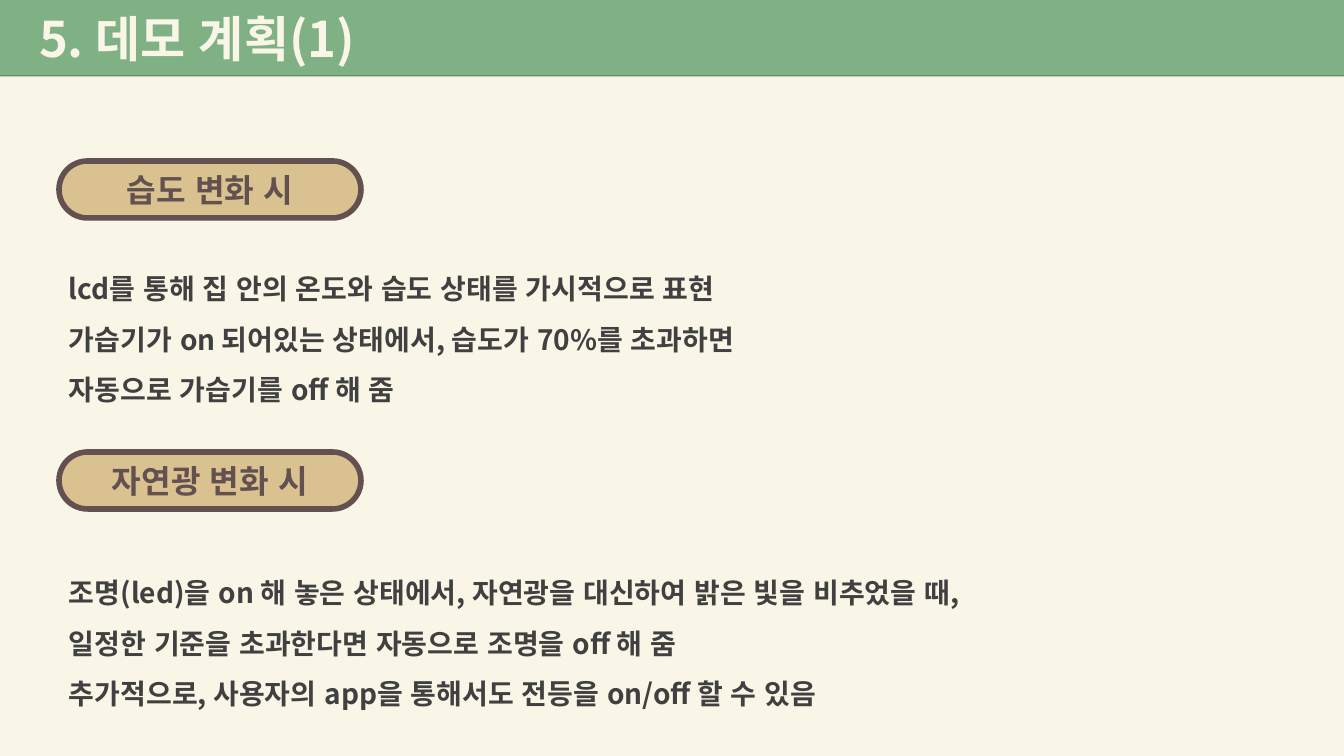
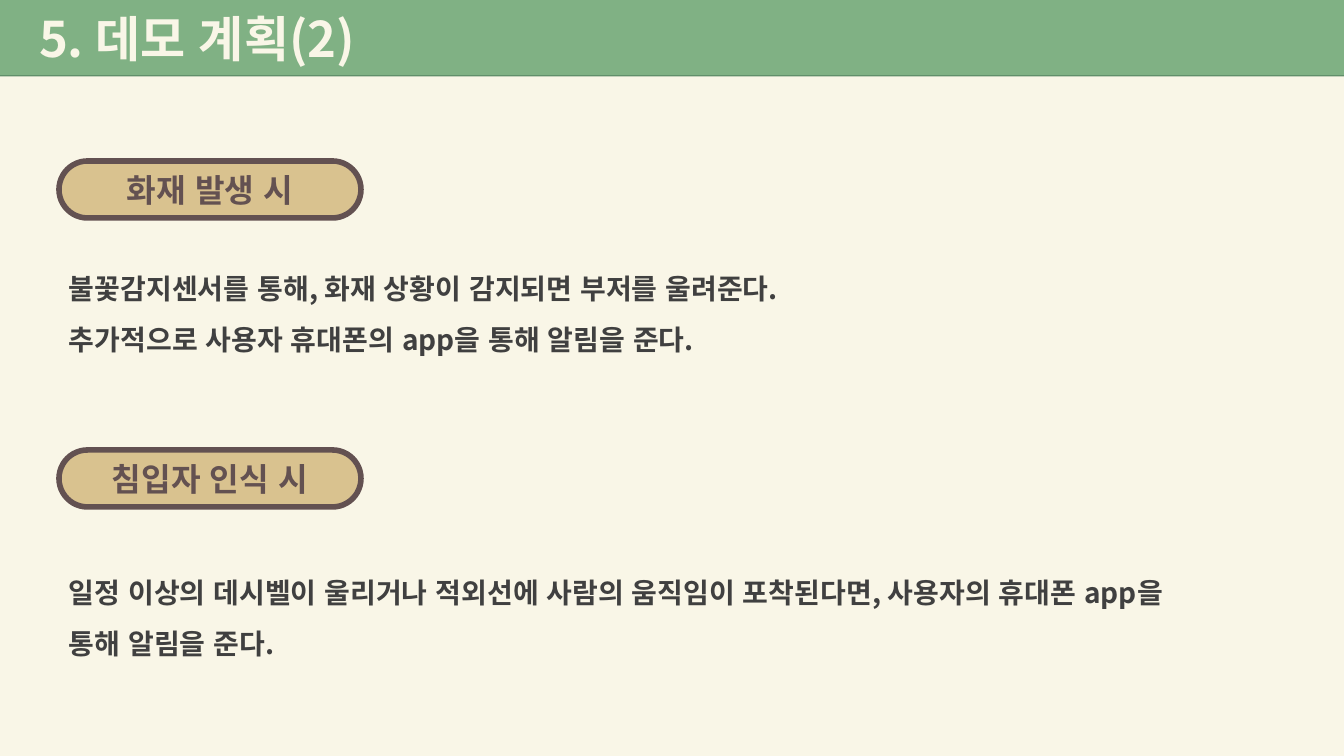
from lxml import etree
from pptx import Presentation
from pptx.dml.color import RGBColor
from pptx.enum import lang, shapes, text
from pptx.oxml import parse_xml
from pptx.oxml.ns import nsdecls, qn
from pptx.util import Emu, Pt

# Content: each section is a label, the label's top in px, the body's top, lines
SLIDES = [
    ("5. 데모 계획(1)", [
        ("습도 변화 시", 161, 250, [
            "lcd를 통해 집 안의 온도와 습도 상태를 가시적으로 표현",
            "가습기가 on 되어있는 상태에서, 습도가 70%를 초과하면",
            "자동으로 가습기를 off 해 줌",
        ]),
        ("자연광 변화 시", 452, 554, [
            "조명(led)을 on 해 놓은 상태에서, 자연광을 대신하여 밝은 빛을 비추었을 때,",
            "일정한 기준을 초과한다면 자동으로 조명을 off 해 줌",
            "추가적으로, 사용자의 app을 통해서도 전등을 on/off 할 수 있음",
        ]),
    ]),
    ("5. 데모 계획(2)", [
        ("화재 발생 시", 161, 250, [
            "불꽃감지센서를 통해, 화재 상황이 감지되면 부저를 울려준다.",
            "추가적으로 사용자 휴대폰의 app을 통해 알림을 준다.",
        ]),
        ("침입자 인식 시", 450, 554, [
            "일정 이상의 데시벨이 울리거나 적외선에 사람의 움직임이 포착된다면, "
            "사용자의 휴대폰 app을 통해 알림을 준다.",
        ]),
    ]),
]

# Shared style
COLORS = {
    "cream": "F9F6E7",
    "green": "80B184",
    "dark_green": "618F6A",
    "sand": "D9C28F",
    "brown": "635151",
    "gray": "404040",
}
FONT = "Noto Sans CJK KR"
SCALE = 914400 / 100.8
WIDTH, HEIGHT = 1344, 756
BAND_HEIGHT = 75
LEFT = 59
LABEL_WIDTH, LABEL_HEIGHT = 302, 57
BODY_WIDTH, LINE_HEIGHT, BODY_PADDING = 1170, 50, 6


def px(value):
    return Emu(round(value * SCALE))


def area(*values):
    return [px(value) for value in values]


def color(name):
    return RGBColor.from_string(COLORS[name])


def paint(shape, name):
    shape.fill.solid()
    shape.fill.fore_color.rgb = color(name)


def write(para, words, size, name):
    span = para.add_run()
    span.text = words
    font = span.font
    font.size, font.bold, font.name = Pt(size), True, FONT
    font.color.rgb = color(name)
    font.language_id = lang.MSO_LANGUAGE_ID.KOREAN
    # Hangul takes the East Asian typeface, which follows the Latin one
    latin = span._r.rPr.find(qn("a:latin"))
    east_asian = etree.Element(qn("a:ea"), typeface=FONT)
    latin.addnext(east_asian)


def add_title(page, words):
    """Turn the title placeholder into the green band with a thin lower edge."""
    title = page.shapes.title
    title.left, title.top, title.width, title.height = area(0, 0, WIDTH, BAND_HEIGHT)
    paint(title, "green")
    title._element.spPr.append(parse_xml(
        f'<a:effectLst {nsdecls("a")}>'
        '<a:outerShdw dist="12700" dir="5400000" algn="t" rotWithShape="0">'
        f'<a:srgbClr val="{COLORS["dark_green"]}"/></a:outerShdw></a:effectLst>'))
    frame = title.text_frame
    frame.auto_size = text.MSO_AUTO_SIZE.NONE
    frame.vertical_anchor = text.MSO_ANCHOR.MIDDLE
    frame.margin_left = px(39)
    para = frame.paragraphs[0]
    para.alignment = text.PP_ALIGN.LEFT
    write(para, words, 35, "cream")


def add_label(page, words, top):
    label = page.shapes.add_shape(
        shapes.MSO_SHAPE.ROUNDED_RECTANGLE, *area(LEFT, top, LABEL_WIDTH, LABEL_HEIGHT))
    label.adjustments[0] = 0.5
    label.shadow.inherit = False
    paint(label, "sand")
    label.line.color.rgb = color("brown")
    label.line.width = Pt(4)
    frame = label.text_frame
    frame.word_wrap = False
    frame.vertical_anchor = text.MSO_ANCHOR.MIDDLE
    para = frame.paragraphs[0]
    para.alignment = text.PP_ALIGN.CENTER
    write(para, words, 23, "brown")


def add_body(page, lines, top):
    height = max(len(lines), 2) * LINE_HEIGHT + BODY_PADDING
    box = page.shapes.add_textbox(*area(LEFT, top, BODY_WIDTH, height))
    frame = box.text_frame
    frame.word_wrap = True
    frame.auto_size = text.MSO_AUTO_SIZE.SHAPE_TO_FIT_TEXT
    for index, line in enumerate(lines):
        para = frame.add_paragraph() if index else frame.paragraphs[0]
        para.line_spacing = 1.5
        write(para, line, 20, "gray")


def main():
    deck = Presentation()
    deck.slide_width, deck.slide_height = area(WIDTH, HEIGHT)
    paint(deck.slide_master.background, "cream")
    title_only = deck.slide_layouts.get_by_name("Title Only")

    for heading, sections in SLIDES:
        page = deck.slides.add_slide(title_only)
        add_title(page, heading)
        for label, label_top, body_top, lines in sections:
            add_label(page, label, label_top)
            add_body(page, lines, body_top)

    deck.save("out.pptx")


if __name__ == "__main__":
    main()
